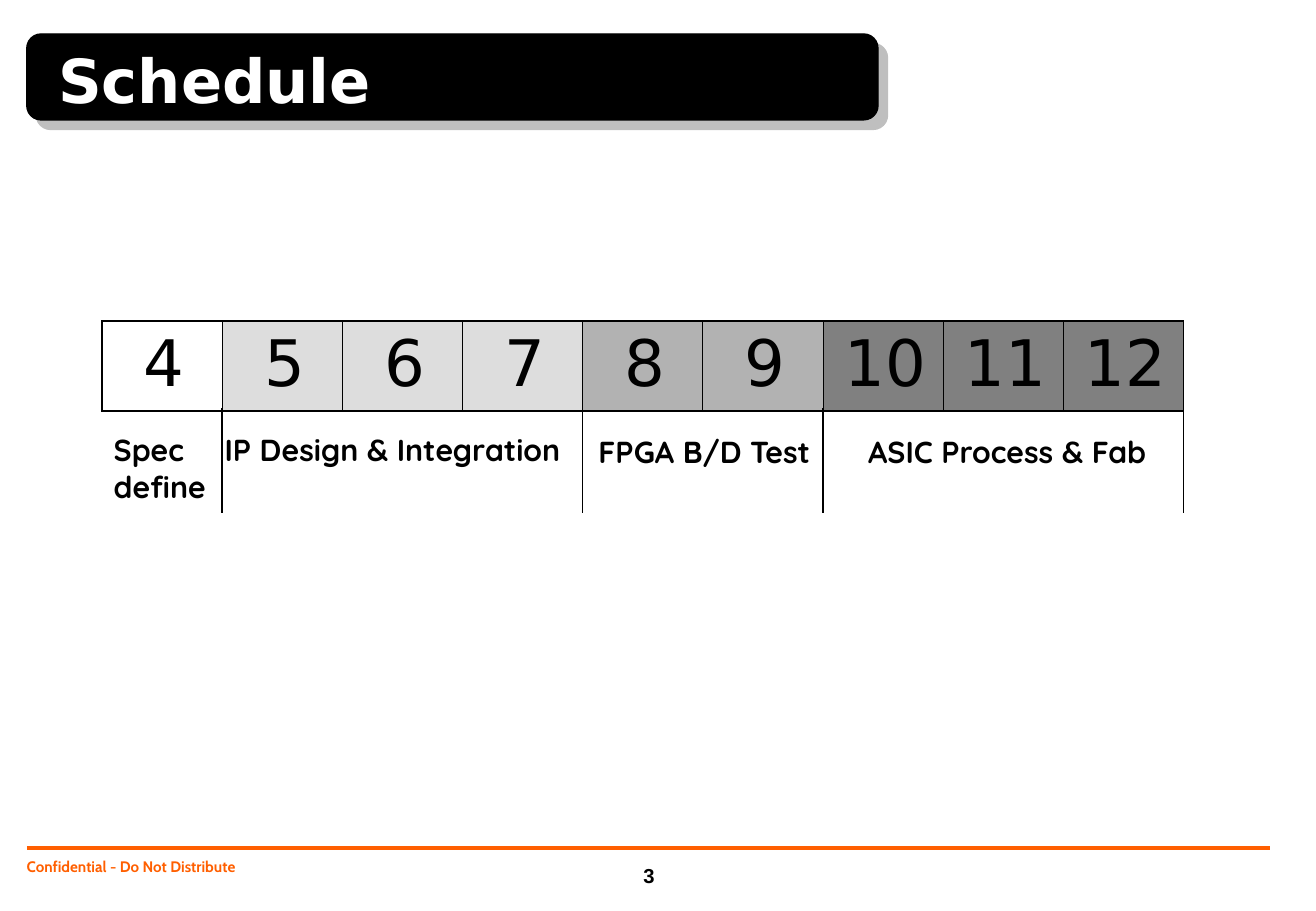
from dataclasses import dataclass
from pptx import Presentation
from pptx.dml.color import RGBColor
from pptx.enum.shapes import MSO_CONNECTOR, MSO_SHAPE
from pptx.enum.text import MSO_ANCHOR, MSO_AUTO_SIZE, PP_ALIGN
from pptx.oxml.ns import qn
from pptx.util import Cm, Pt
from lxml.etree import SubElement


@dataclass
class Theme:
    """Colours, fonts and type sizes of the schedule."""
    ink: str = "000000"
    paper: str = "FFFFFF"
    accent: str = "FF5F00"
    shade: str = "808080"
    light: str = "DDDDDD"
    mid: str = "B2B2B2"
    dark: str = "808080"
    head: str = "DejaVu Sans"
    body: str = "Quicksand"
    foot: str = "Cabin"
    page: str = "Arial"
    title: int = 36
    month: int = 38
    label: int = 18
    number: int = 12
    small: int = 9


class Deck:
    """Draws styled elements on the current slide."""

    def __init__(self, theme, slide):
        self.theme = theme
        self.slide = slide

    def style(self, frame, face, size, color, bold=True, align=PP_ALIGN.LEFT):
        for para in frame.paragraphs:
            para.alignment = align
            for run in para.runs:
                font = run.font
                font.name, font.size, font.bold = face, Pt(size), bold
                font.color.rgb = RGBColor.from_string(color)

    def pad(self, item, left, top, right, low):
        item.margin_left, item.margin_top = Cm(left), Cm(top)
        item.margin_right, item.margin_bottom = Cm(right), Cm(low)

    def text(self, words, box, face, size, color, inset=(0.25, 0.13, 0.25, 0.13),
             anchor=MSO_ANCHOR.TOP, align=PP_ALIGN.LEFT, wrap=True):
        frame = self.slide.shapes.add_textbox(*map(Cm, box)).text_frame
        frame.text = words
        frame.word_wrap = wrap
        frame.auto_size = MSO_AUTO_SIZE.NONE if wrap else MSO_AUTO_SIZE.SHAPE_TO_FIT_TEXT
        frame.vertical_anchor = anchor
        self.pad(frame, *inset)
        self.style(frame, face, size, color, align=align)
        return frame

    def line(self, start, end, color, width):
        link = self.slide.shapes.add_connector(
            MSO_CONNECTOR.STRAIGHT, *map(Cm, start + end))
        link.line.color.rgb = RGBColor.from_string(color)
        link.line.width = Pt(width)
        SubElement(link._element.spPr, qn("a:effectLst"))

    def banner(self, box):
        shape = self.slide.shapes.add_shape(
            MSO_SHAPE.ROUNDED_RECTANGLE, *map(Cm, box))
        ink = RGBColor.from_string(self.theme.ink)
        shape.fill.solid()
        shape.fill.fore_color.rgb = ink
        shape.line.color.rgb = ink
        shape.line.width = Pt(0.75)
        shape.shadow.inherit = False
        effect = shape._element.spPr.find(qn("a:effectLst"))
        cast = SubElement(effect, qn("a:outerShdw"), blurRad="0",
                          dist=str(Pt(8)), dir="2700000", algn="tl", rotWithShape="0")
        tint = SubElement(cast, qn("a:srgbClr"), val=self.theme.shade)
        SubElement(tint, qn("a:alpha"), val="50000")

    def border(self, cell, edges):
        props = cell._tc.get_or_add_tcPr()
        for side, width in edges.items():
            edge = SubElement(props, qn("a:ln" + side), w=str(Pt(width)))
            fill = SubElement(edge, qn("a:solidFill"))
            SubElement(fill, qn("a:srgbClr"), val=self.theme.ink)

    def months(self, box, names, fills):
        table = self.slide.shapes.add_table(1, len(names), *map(Cm, box)).table
        table.first_row = table.horz_banding = False
        last = len(names) - 1
        for index, (name, fill) in enumerate(zip(names, fills)):
            cell = table.cell(0, index)
            cell.text = str(name)
            self.pad(cell, 0.35, 0.13, 0.25, 0.13)
            self.style(cell.text_frame, self.theme.head, self.theme.month,
                       self.theme.ink, False, PP_ALIGN.CENTER)
            self.border(cell, {"L": 0.45 if index else 1.08,
                               "R": 0.45 if index < last else 1.08,
                               "T": 1.08, "B": 1.08})
            cell.fill.solid()
            cell.fill.fore_color.rgb = RGBColor.from_string(fill)


def main():
    """Build the schedule slide."""
    theme = Theme()
    show = Presentation()
    show.slide_width, show.slide_height = Cm(27.53), Cm(19.05)
    deck = Deck(theme, show.slides.add_slide(show.slide_layouts[6]))

    deck.line((0.56, 17.73), (26.57, 17.73), theme.accent, 2)
    note = deck.text("Confidential - Do Not Distribute", (0.43, 17.88, 9.3, 0.69),
                     theme.foot, theme.small, theme.accent, (0.13, 0, 0.13, 0))
    note.paragraphs[0].line_spacing = 1.1
    deck.banner((0.56, 0.71, 17.81, 1.8))
    deck.text("Schedule", (0.97, 1.07, 13.82, 1.19), theme.head, theme.title,
              theme.paper, (0.25, 0.15, 0.25, 0.15), MSO_ANCHOR.MIDDLE)

    phases = [("Spec\vdefine", 1, theme.paper, 2.13, 8.89, 2.51),
              ("IP Design & Integration", 3, theme.light, 4.45, 8.89, 7.95),
              ("FPGA B/D Test", 2, theme.mid, 12.27, 8.92, 4.98),
              ("ASIC Process & Fab", 3, theme.dark, 17.91, 8.92, 6.45)]
    left, width = 2.13, 22.63
    fills = [fill for _, span, fill, *_ in phases for _ in range(span)]
    deck.months((left, 6.71, width, 1.88), range(4, 13), fills)

    done = 0
    for name, span, _, x, y, wide in phases:
        deck.text(name, (x, y, wide, 1.02), theme.body, theme.label,
                  theme.ink, wrap=False)
        done += span
        edge = left + width * done / len(fills)
        deck.line((edge, 8.53), (edge, 10.72), theme.ink, 1)

    deck.text("3", (13.18, 17.91, 0.79, 0.79), theme.page, theme.number, theme.ink,
              anchor=MSO_ANCHOR.BOTTOM, align=PP_ALIGN.CENTER)
    show.save("out.pptx")


if __name__ == "__main__":
    main()
